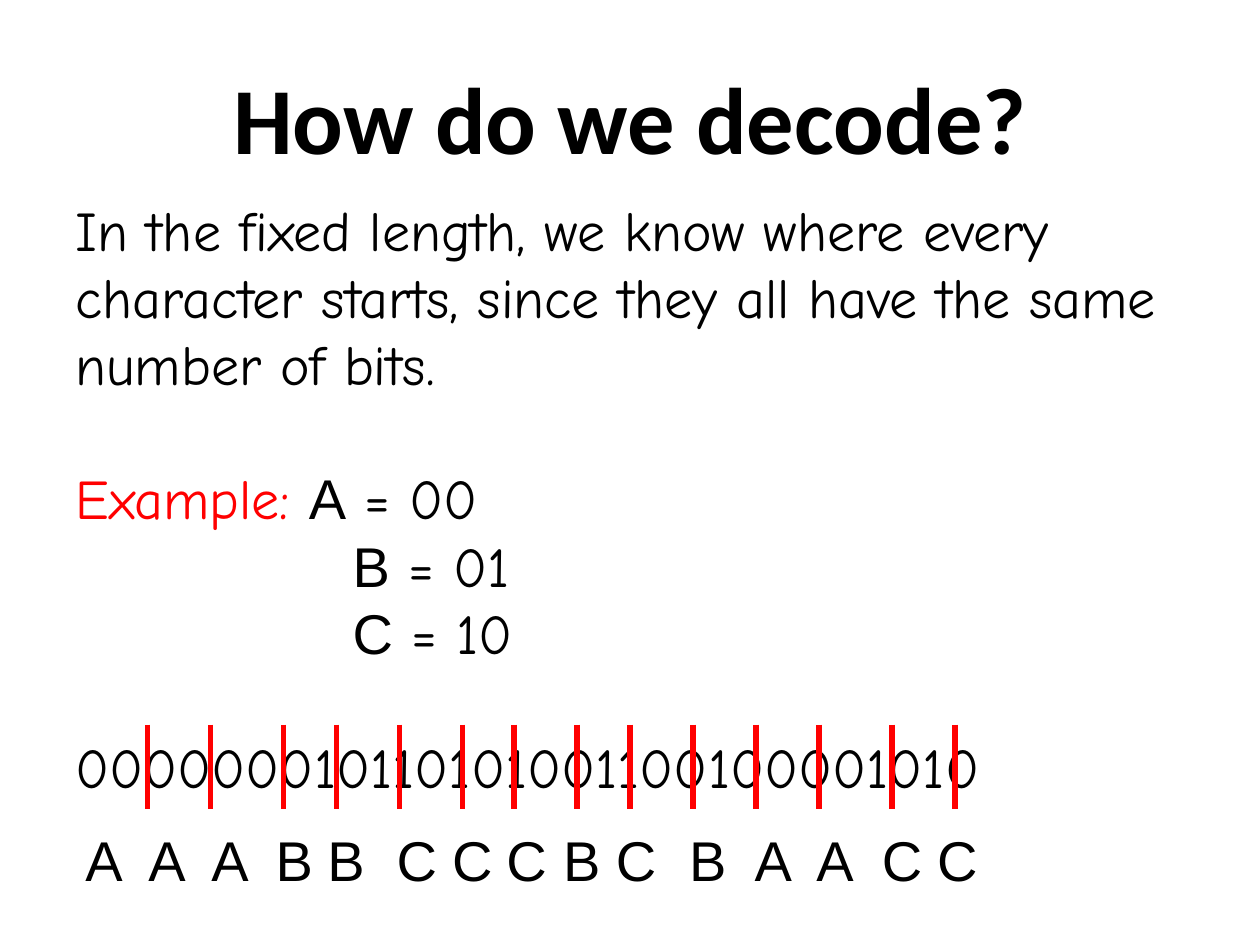
from dataclasses import dataclass
from lxml.etree import SubElement
from pptx import Presentation
from pptx.dml.color import RGBColor
from pptx.enum.shapes import MSO_CONNECTOR
from pptx.enum.text import MSO_ANCHOR, PP_ALIGN
from pptx.oxml.ns import qn
from pptx.util import Inches, Pt


@dataclass(frozen=True)
class Theme:
    ink: RGBColor = RGBColor(0, 0, 0)
    red: RGBColor = RGBColor(255, 0, 0)
    head: str = "Calibri"
    body: str = "Comic Neue"
    code: str = "Arial"
    big: Pt = Pt(54)
    text: Pt = Pt(32)
    gap: Pt = Pt(38.3)
    rule: Pt = Pt(3)


THEME = Theme()


def add_box(slide, box, anchor=MSO_ANCHOR.TOP):
    frame = slide.shapes.add_textbox(*map(Inches, box)).text_frame
    frame.word_wrap = True
    frame.vertical_anchor = anchor
    return frame


def add_run(para, text, font=THEME.body, color=THEME.ink, size=THEME.text):
    run = para.add_run()
    run.text = text
    run.font.name = font
    run.font.size = size
    run.font.color.rgb = color
    return run


def add_title(slide, box):
    para = add_box(slide, box, MSO_ANCHOR.MIDDLE).paragraphs[0]
    para.alignment = PP_ALIGN.CENTER
    add_run(para, "How do we decode?", THEME.head, size=THEME.big).font.bold = True


def add_body(slide, box):
    frame = add_box(slide, box)
    add_run(frame.paragraphs[0], "In the fixed length, we know where every character "
            "starts, since they all have the same number of bits.")

    # Code table: the first row carries the label, the others are indented
    for row, (char, bits) in enumerate([("A", "00"), ("B", "01"), ("C", "10")]):
        para = frame.add_paragraph()
        if row == 0:
            para.space_before = THEME.gap
            add_run(para, "Example: ", color=THEME.red)
        else:
            para._p.get_or_add_pPr().set("marL", str(Inches(2.2)))
        add_run(para, char, THEME.code)
        add_run(para, f" = {bits}")

    # Encoded bits
    para = frame.add_paragraph()
    para.space_before = THEME.gap
    add_run(para, "000000010110101001100100001010")


def add_cuts(slide, box):
    left, top, _, height = box
    cuts = [0, 0.5, 1.08, 1.5, 2, 2.5, 2.91, 3.41, 3.83, 4.33, 4.83, 5.33, 5.91, 6.41]
    for cut in cuts:
        x = Inches(left + cut)
        line = slide.shapes.add_connector(
            MSO_CONNECTOR.STRAIGHT, x, Inches(top), x, Inches(top + height))
        line.line.color.rgb = THEME.red
        line.line.width = THEME.rule
        SubElement(line._element.spPr, qn("a:effectLst"))


def add_answer(slide, box):
    para = add_box(slide, box).paragraphs[0]
    # One tab stop under each pair of bits
    stops = [0.5, 1, 1.51, 1.92, 2.47, 2.91, 3.34, 3.79, 4.21, 4.79, 5.31, 5.8, 6.32, 6.76]
    tabs = SubElement(para._p.get_or_add_pPr(), qn("a:tabLst"))
    for stop in stops:
        SubElement(tabs, qn("a:tab"), pos=str(Inches(stop)), algn="l")
    add_run(para, "\t".join("AAABBCCCBCBAACC"), THEME.code)


def main():
    deck = Presentation()
    deck.slide_width, deck.slide_height = Inches(10), Inches(7.5)
    slide = deck.slides.add_slide(deck.slide_layouts[6])
    add_title(slide, (0.5, 0.3, 9, 1.25))
    add_body(slide, (0.5, 1.5, 9, 4.9))
    add_cuts(slide, (1.17, 5.75, 6.41, 0.67))
    add_answer(slide, (0.58, 6.5, 7.51, 0.63))
    deck.save("out.pptx")


if __name__ == "__main__":
    main()
